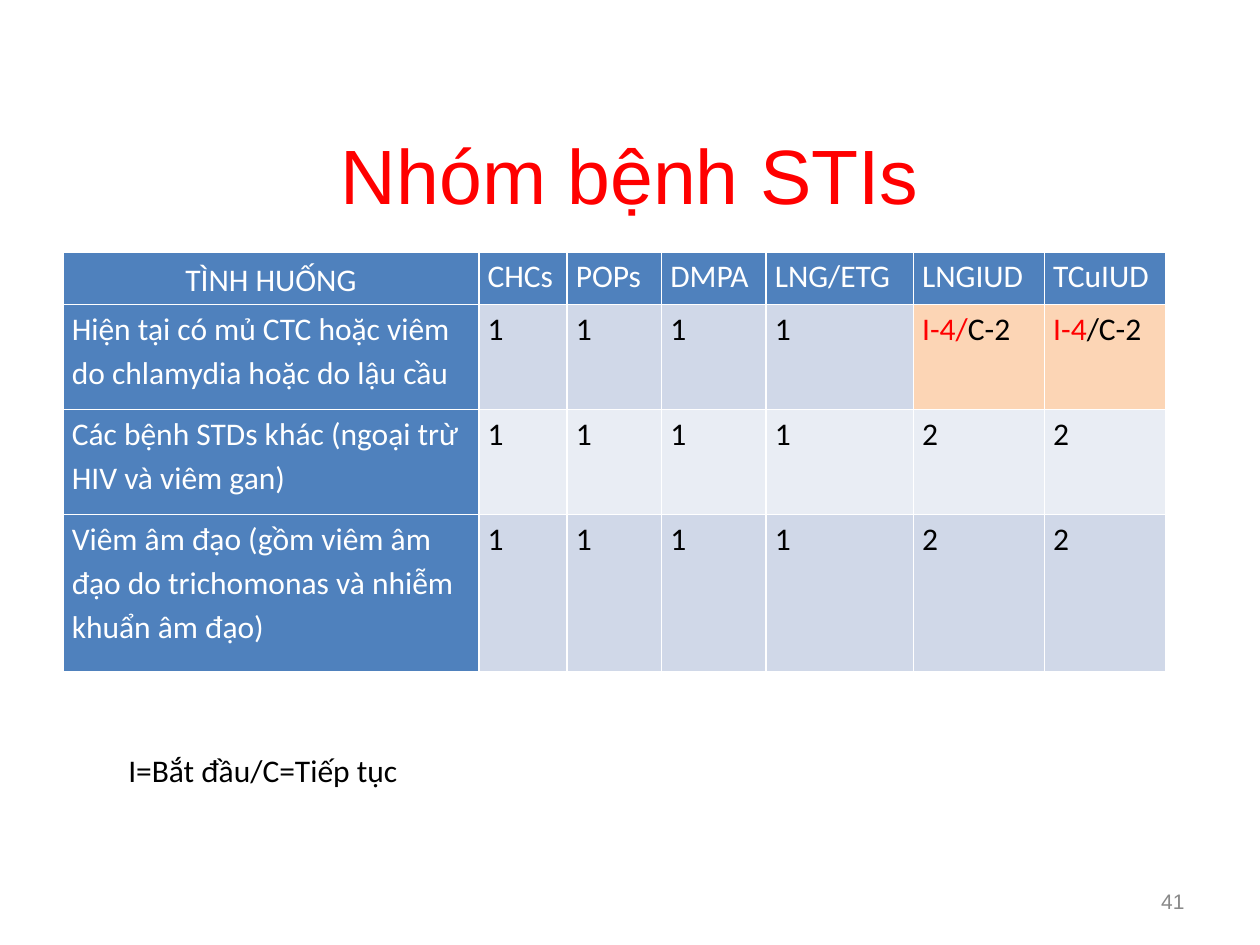
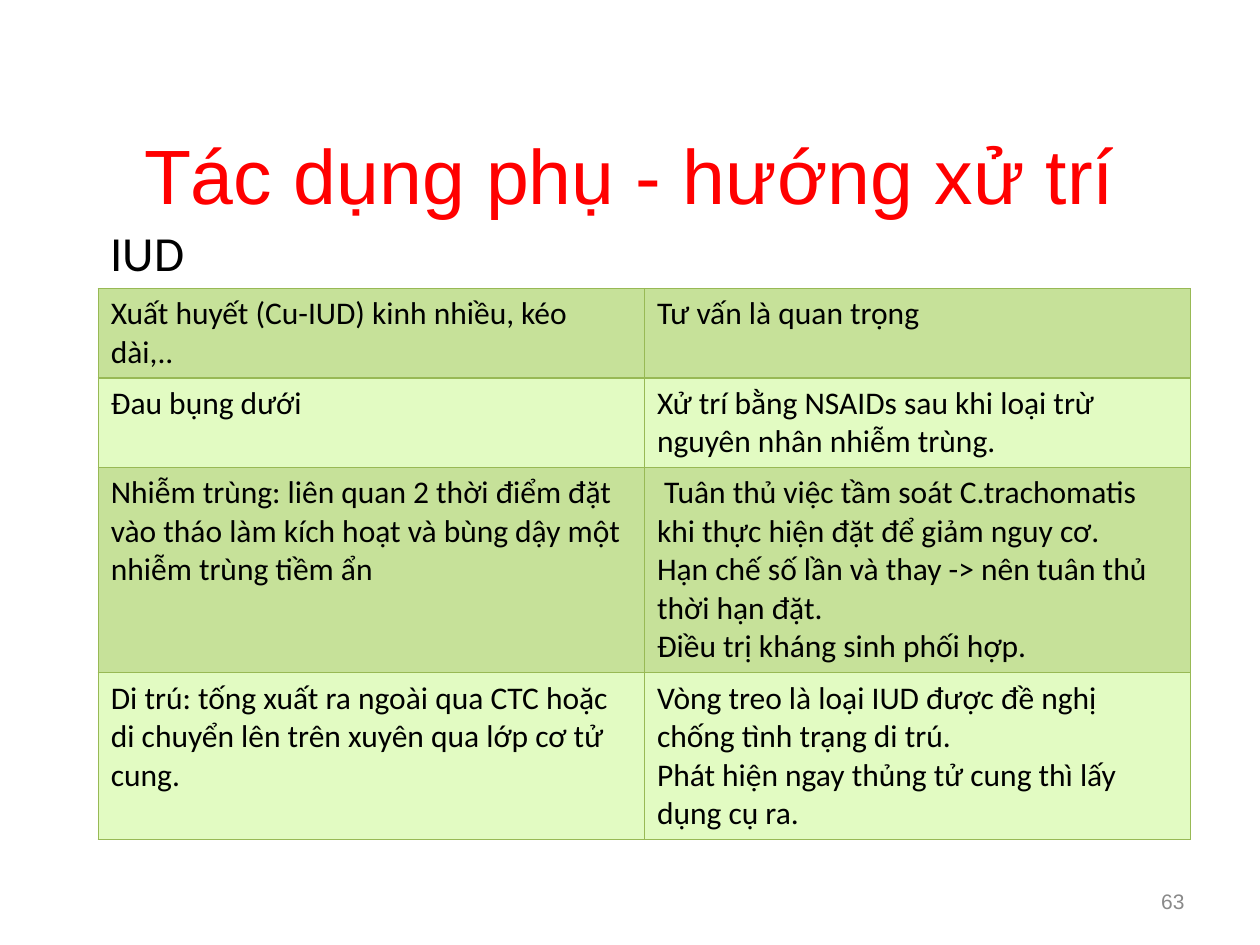
from dataclasses import dataclass

from lxml.etree import SubElement
from pptx import Presentation
from pptx.dml.color import RGBColor as Rgb
from pptx.enum.text import MSO_ANCHOR as Anchor, PP_ALIGN as Align
from pptx.oxml.ns import qn
from pptx.util import Inches, Pt

SLIDE_WIDTH, SLIDE_HEIGHT = Inches(10), Inches(7.5)
GRID_COLUMNS, GRID_ROWS = 20, 15


@dataclass(frozen=True)
class Theme:
    red: str = "FF0000"
    black: str = "000000"
    white: str = "FFFFFF"
    grey: str = "898989"
    blue: str = "4F81BD"
    blue_bands: tuple = ("D0D8E8", "E9EDF4")
    warning: str = "FCD5B5"
    green_line: str = "98B955"
    green_bands: tuple = ("C6E199", "E2FBC2")
    heading_font: str = "Arial"
    body_font: str = "Calibri"
    title_size: int = 44
    subtitle_size: int = 28
    body_size: int = 18
    number_size: int = 12


THEME = Theme()

CONDITIONS = [
    ("TÌNH HUỐNG", "CHCs", "POPs", "DMPA", "LNG/ETG", "LNGIUD", "TCuIUD"),
    ("Hiện tại có mủ CTC hoặc viêm do chlamydia hoặc do lậu cầu",
     "1", "1", "1", "1", "I-4/C-2", "I-4/C-2"),
    ("Các bệnh STDs khác (ngoại trừ HIV và viêm gan)",
     "1", "1", "1", "1", "2", "2"),
    ("Viêm âm đạo (gồm viêm âm đạo do trichomonas và nhiễm khuẩn âm đạo)",
     "1", "1", "1", "1", "2", "2"),
]

SIDE_EFFECTS = [
    ("Xuất huyết (Cu-IUD) kinh nhiều, kéo dài,..", "Tư vấn là quan trọng"),
    ("Đau bụng dưới",
     "Xử trí bằng NSAIDs sau khi loại trừ nguyên nhân nhiễm trùng."),
    ("Nhiễm trùng: liên quan 2 thời điểm đặt vào tháo làm kích hoạt "
     "và bùng dậy một nhiễm trùng tiềm ẩn",
     " Tuân thủ việc tầm soát C.trachomatis khi thực hiện đặt để giảm nguy cơ.\n"
     "Hạn chế số lần và thay -> nên tuân thủ thời hạn đặt.\n"
     "Điều trị kháng sinh phối hợp."),
    ("Di trú: tống xuất ra ngoài qua CTC hoặc di chuyển lên trên "
     "xuyên qua lớp cơ tử cung.",
     "Vòng treo là loại IUD được đề nghị chống tình trạng di trú.\n"
     "Phát hiện ngay thủng tử cung thì lấy dụng cụ ra."),
]


def across(columns):
    return round(SLIDE_WIDTH * columns / GRID_COLUMNS)


def down(rows):
    return round(SLIDE_HEIGHT * rows / GRID_ROWS)


def place(left, top, width, height):
    return across(left), down(top), across(width), down(height)


def style_font(font, size, color, name=THEME.body_font):
    font.size, font.name = Pt(size), name
    font.color.rgb = Rgb.from_string(color)


def write(frame, text, size=THEME.body_size, color=THEME.black,
          name=THEME.body_font, align=Align.LEFT, spacing=1.0):
    frame.text = text
    for paragraph in frame.paragraphs:
        paragraph.alignment = align
        paragraph.line_spacing = spacing
        for run in paragraph.runs:
            style_font(run.font, size, color, name)


def add_titled_slide(deck, title, number):
    slide = deck.slides.add_slide(deck.slide_layouts[5])
    heading = slide.shapes.title
    heading.left, heading.top, heading.width, heading.height = place(1, 2, 18, 1.5)
    write(heading.text_frame, title, THEME.title_size, THEME.red,
          THEME.heading_font, Align.CENTER)
    heading.text_frame.vertical_anchor = Anchor.MIDDLE
    footer = add_label(slide, (14.34, 13.9, 4.66, 0.8), number,
                       size=THEME.number_size, color=THEME.grey,
                       name=THEME.heading_font, align=Align.RIGHT)
    footer.vertical_anchor = Anchor.MIDDLE
    return slide


def add_label(slide, area, text, wrap=True, **style):
    frame = slide.shapes.add_textbox(*place(*area)).text_frame
    frame.word_wrap = wrap
    write(frame, text, **style)
    return frame


def border_cell(cell, color, width):
    properties = cell._tc.get_or_add_tcPr()
    for side in ("L", "R", "T", "B"):
        line = SubElement(properties, qn(f"a:ln{side}"), w=str(Pt(width)))
        fill = SubElement(line, qn("a:solidFill"))
        SubElement(fill, qn("a:srgbClr"), val=color)


def fill_cell(cell, color):
    cell.fill.solid()
    cell.fill.fore_color.rgb = Rgb.from_string(color)


def add_grid_table(slide, left, top, widths, heights, line):
    area = place(left, top, sum(widths), sum(heights))
    table = slide.shapes.add_table(len(heights), len(widths), *area).table
    table.first_row = table.horz_banding = False
    for column, width in zip(table.columns, widths):
        column.width = across(width)
    for row, height in zip(table.rows, heights):
        row.height = down(height)
    for cell in table.iter_cells():
        border_cell(cell, *line)
    return table


def mark_initiation(cell, initiation, continuation):
    fill_cell(cell, THEME.warning)
    paragraph = cell.text_frame.paragraphs[0]
    first = paragraph.runs[0]
    first.text = initiation
    style_font(first.font, THEME.body_size, THEME.red)
    second = paragraph.add_run()
    second.text = continuation
    style_font(second.font, THEME.body_size, THEME.black)


def add_conditions_table(slide):
    table = add_grid_table(slide, 1, 4, (6.6, 1.4, 1.5, 1.66, 2.34, 2.08, 1.92),
                           (0.83, 1.67, 1.67, 2.5), (THEME.white, 1))
    for row, texts in enumerate(CONDITIONS):
        for column, text in enumerate(texts):
            cell = table.cell(row, column)
            is_heading = row == 0 or column == 0
            cell.margin_left = cell.margin_right = Inches(0.07)
            cell.margin_top = cell.margin_bottom = 0
            fill_cell(cell, THEME.blue if is_heading else THEME.blue_bands[(row - 1) % 2])
            write(cell.text_frame, text, spacing=1.15,
                  color=THEME.white if is_heading else THEME.black)
    corner = table.cell(0, 0)
    corner.vertical_anchor = Anchor.MIDDLE
    corner.text_frame.paragraphs[0].alignment = Align.CENTER
    mark_initiation(table.cell(1, 5), "I-4/", "C-2")
    mark_initiation(table.cell(1, 6), "I-4", "/C-2")


def add_side_effects_table(slide):
    table = add_grid_table(slide, 1.56, 4.58, (8.67, 8.67),
                           (1.42, 1.42, 3.26, 2.64), (THEME.green_line, 0.75))
    for row, texts in enumerate(SIDE_EFFECTS):
        for column, text in enumerate(texts):
            cell = table.cell(row, column)
            fill_cell(cell, THEME.green_bands[row % 2])
            write(cell.text_frame, text)


def main():
    deck = Presentation()
    deck.slide_width, deck.slide_height = SLIDE_WIDTH, SLIDE_HEIGHT

    infections = add_titled_slide(deck, "Nhóm bệnh STIs", "41")
    add_conditions_table(infections)
    add_label(infections, (1.84, 11.82, 4.72, 0.8), "I=Bắt đầu/C=Tiếp tục", wrap=False)

    side_effects = add_titled_slide(deck, "Tác dụng phụ - hướng xử trí", "63")
    add_side_effects_table(side_effects)
    add_label(side_effects, (1.56, 3.44, 2.76, 1.14), "IUD", size=THEME.subtitle_size)

    deck.save("out.pptx")


if __name__ == "__main__":
    main()
